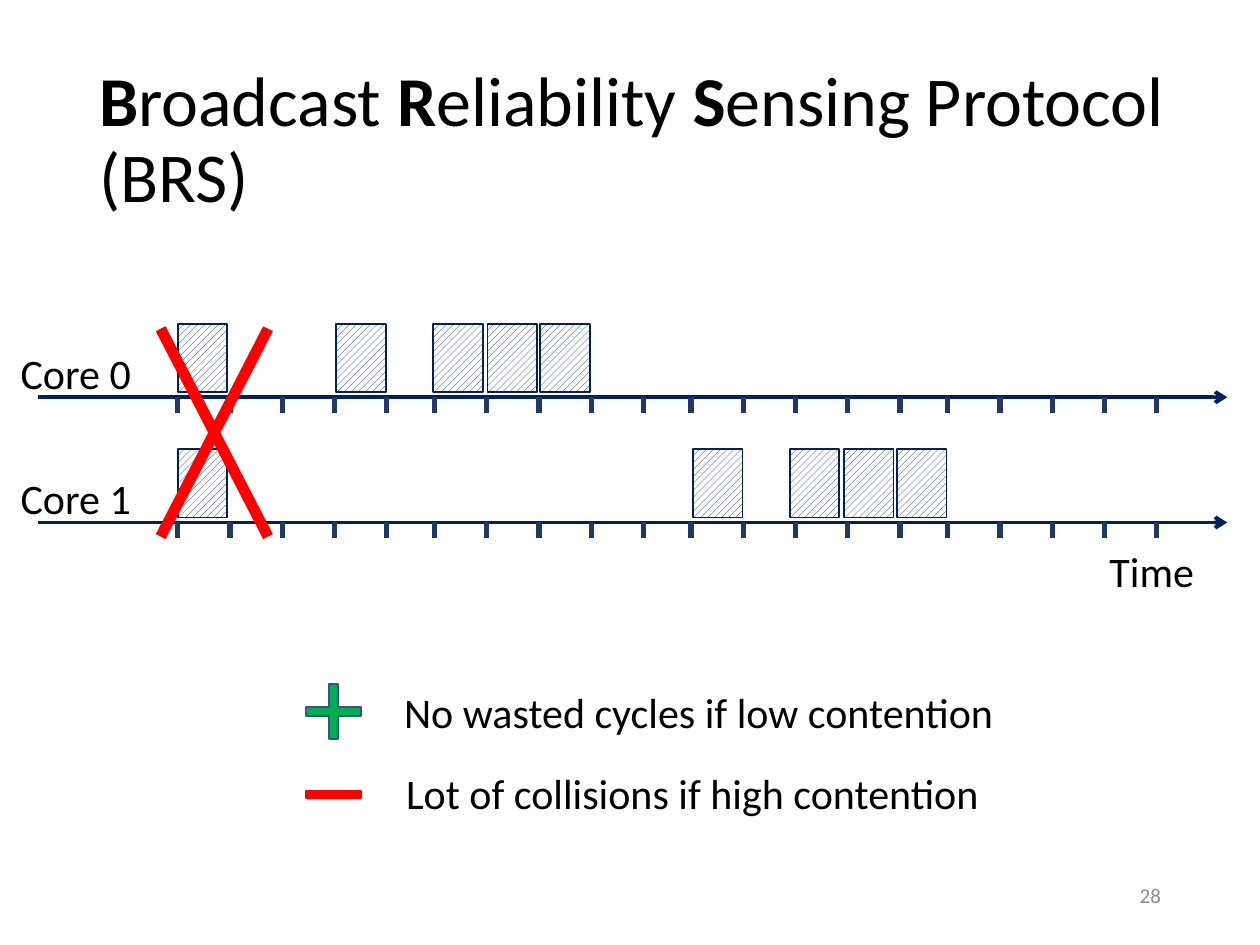
from lxml import etree
from pptx import Presentation
from pptx.dml.color import RGBColor
from pptx.enum.dml import MSO_PATTERN
from pptx.enum.shapes import MSO_CONNECTOR, MSO_SHAPE
from pptx.enum.text import MSO_ANCHOR, MSO_AUTO_SIZE, PP_ALIGN
from pptx.oxml.ns import qn
from pptx.util import Pt

HATCH = MSO_PATTERN.WIDE_UPWARD_DIAGONAL
STRAIGHT = MSO_CONNECTOR.STRAIGHT
RECT, PLUS = MSO_SHAPE.RECTANGLE, MSO_SHAPE.MATH_PLUS
MINUS, CROSS = MSO_SHAPE.MATH_MINUS, MSO_SHAPE.MATH_MULTIPLY
LEFT, CENTER, RIGHT = PP_ALIGN.LEFT, PP_ALIGN.CENTER, PP_ALIGN.RIGHT
TOP, MIDDLE = MSO_ANCHOR.TOP, MSO_ANCHOR.MIDDLE
NO_FIT, GROW = MSO_AUTO_SIZE.NONE, MSO_AUTO_SIZE.SHAPE_TO_FIT_TEXT

NAVY, TICK, RED, GREEN = "002060", "203864", "FF0000", "00B050"
BLACK, GRAY = "000000", "8C8C8C"
FONT = "Calibri"

# Distances from the start of a lane's axis
FIRST_SLOT = 80
GROUP_STEP, TICK_STEP = 146.67, 29.85
BURST = (0, 55.4, 86.4, 116.6)


def rgb(value):
    return RGBColor.from_string(value)


def set_attrs(target, values):
    for name, value in values.items():
        setattr(target, name, value)


def place(sp, box):
    set_attrs(sp, dict(zip(("left", "top", "width", "height"), map(Pt, box))))


def add_run(p, text, size, color=BLACK, bold=False):
    r = p.add_run()
    r.text = text
    set_attrs(r.font, {"name": FONT, "size": Pt(size), "bold": bold})
    r.font.color.rgb = rgb(color)


def add_text(s, box, text, size=24, color=BLACK, align=CENTER,
             anchor=TOP, wrap=False, fit=GROW):
    tf = s.shapes.add_textbox(*map(Pt, box)).text_frame
    set_attrs(tf, {"word_wrap": wrap, "auto_size": fit,
                   "vertical_anchor": anchor})
    p = tf.paragraphs[0]
    p.alignment = align
    add_run(p, text, size, color)


def add_line(s, start, end, color, width, arrow=False):
    line = s.shapes.add_connector(STRAIGHT, *map(Pt, start + end))
    line.line.color.rgb = rgb(color)
    line.line.width = Pt(width)
    if arrow:
        ln = line.line._get_or_add_ln()
        etree.SubElement(ln, qn("a:tailEnd"), type="arrow")
    etree.SubElement(line._element.spPr, qn("a:effectLst"))


def add_shape(s, kind, box, fill, outline=None, adj=None, hatched=False):
    sp = s.shapes.add_shape(kind, *map(Pt, box))
    sp.shadow.inherit = False
    if adj is not None:
        sp.adjustments[0] = adj
    if hatched:
        sp.fill.patterned()
        sp.fill.pattern = HATCH
        sp.fill.fore_color.rgb = rgb(fill)
        sp.fill.back_color.rgb = rgb("FFFFFF")
    else:
        sp.fill.solid()
        sp.fill.fore_color.rgb = rgb(fill)
    if outline:
        sp.line.color.rgb = rgb(outline)
        sp.line.width = Pt(1)
    else:
        sp.line.fill.background()


def add_title(s, box):
    title = s.shapes.title
    place(title, box)
    tf = title.text_frame
    set_attrs(tf, {"word_wrap": True, "auto_size": NO_FIT,
                   "vertical_anchor": MIDDLE})
    p = tf.paragraphs[0]
    set_attrs(p, {"alignment": LEFT, "line_spacing": 0.9})
    for initial, rest in (("B", "roadcast "), ("R", "eliability "),
                          ("S", "ensing Protocol (BRS)")):
        add_run(p, initial, 40, bold=True)
        add_run(p, rest, 40)


def add_lane(s, box, label, burst_start):
    """Time axis along the bottom of the box, with ticks and packets."""
    left, top, width, height = box
    axis = top + height
    add_line(s, (left, axis), (left + width, axis), NAVY, 2.25, arrow=True)

    # Ticks, in four groups of five
    for group in range(4):
        for i in range(5):
            x = left + FIRST_SLOT + group * GROUP_STEP + i * TICK_STEP
            add_line(s, (x, axis + 8.8), (x, axis - 0.3), TICK, 3)

    # The first packet collides, the later burst is sent
    for x in (FIRST_SLOT, *(burst_start + step for step in BURST)):
        add_shape(s, RECT, (left + x, top, 28.3, 39), NAVY, NAVY,
                  hatched=True)

    add_text(s, (left - 17.3, axis - 32, 78, 36), label)


def add_verdicts(s, box):
    """Advantage and drawback, one under the other."""
    left, top, width, height = box
    add_shape(s, PLUS, (left, top, 43, 43), GREEN, "325491", 0.123)
    add_text(s, (left + 52, top + 3.6, width - 52, 36),
             "No wasted cycles if low contention ")
    add_shape(s, MINUS, (left, top + height - 18, 43, 18), RED, RED)
    add_text(s, (left + 53.5, top + height - 28, 346, 36),
             "Lot of collisions if high contention")


def main():
    prs = Presentation()
    prs.slide_width, prs.slide_height = Pt(720), Pt(540)
    s = prs.slides.add_slide(prs.slide_layouts[5])

    add_title(s, (49.5, 28.75, 646, 104.4))

    # Lanes with the collision struck out
    add_lane(s, (21.6, 185.2, 679.7, 41.8), "Core 0", 170.6)
    add_lane(s, (21.6, 256.8, 679.7, 41.8), "Core 1", 374.4)
    add_text(s, (626.4, 308.3, 69, 36), "Time ")
    add_shape(s, CROSS, (63.5, 133, 118, 228.5), RED, adj=0.053)

    add_verdicts(s, (169.2, 385.2, 413.5, 77.8))

    # Slide number
    add_text(s, (508.5, 497, 162, 28.75), "28", 12, GRAY, RIGHT, MIDDLE,
             wrap=True, fit=NO_FIT)
    prs.save("out.pptx")


if __name__ == "__main__":
    main()
